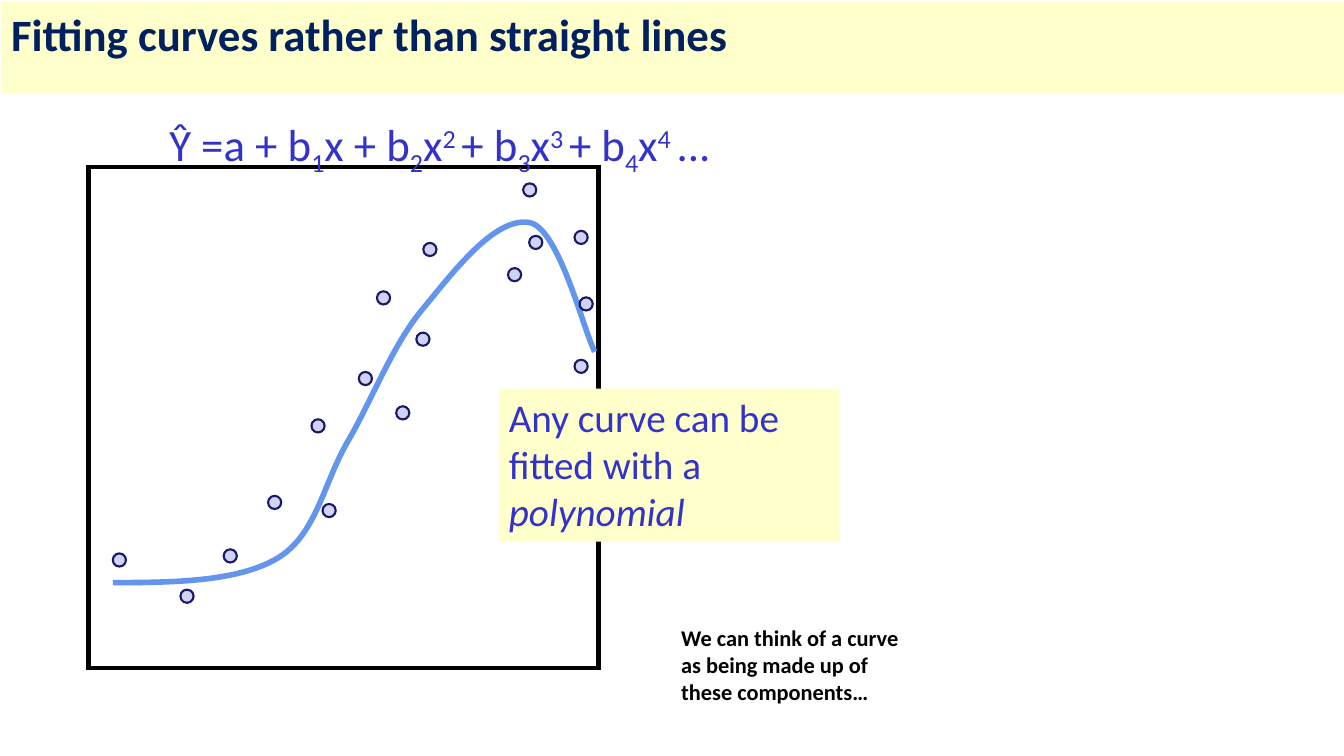
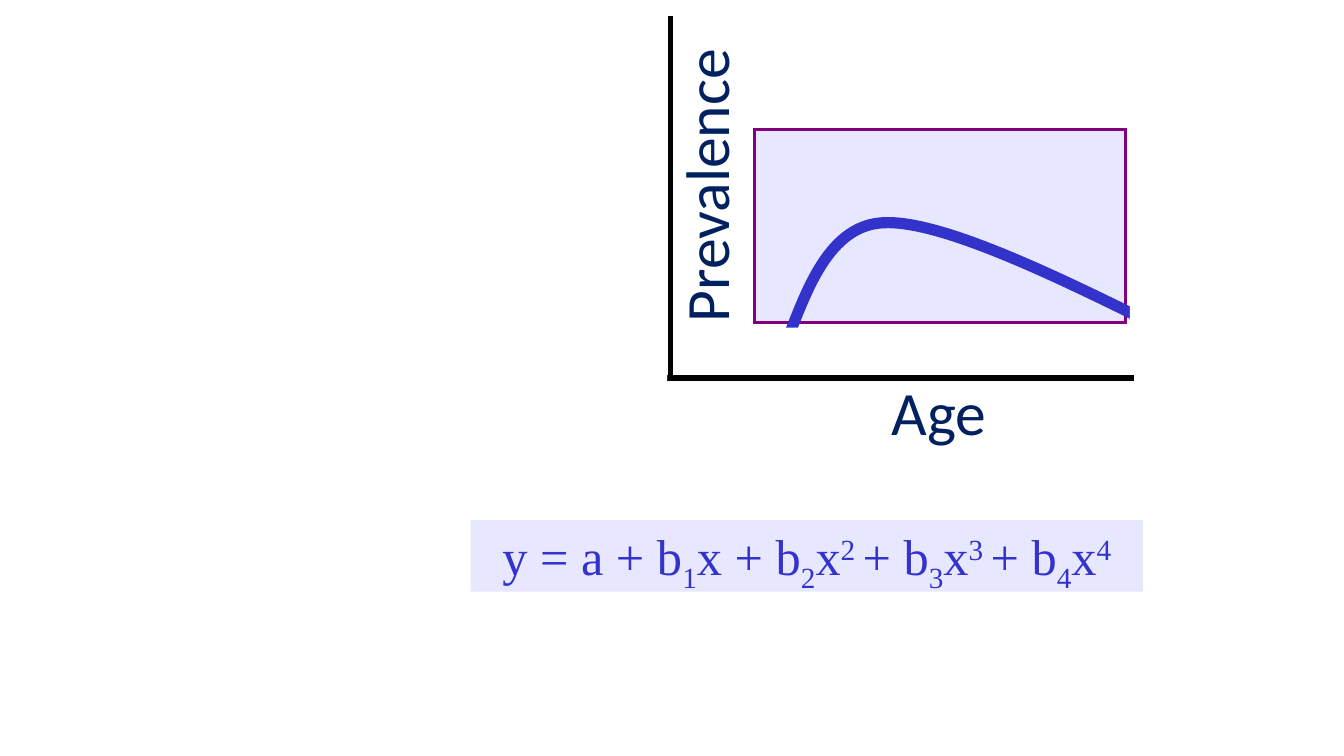
from lxml import etree
from pptx import Presentation
from pptx.dml.color import RGBColor
from pptx.enum import shapes, text
from pptx.oxml.ns import qn
from pptx.util import Pt

BLACK = RGBColor(0x00, 0x00, 0x00)
WHITE = RGBColor(0xFF, 0xFF, 0xFF)
NAVY = RGBColor(0x00, 0x20, 0x60)
BLUE = RGBColor(0x33, 0x33, 0xCC)
CREAM = RGBColor(0xFF, 0xFF, 0xCC)
LAVENDER = RGBColor(0xE7, 0xE7, 0xFF)
PURPLE = RGBColor(0x80, 0x00, 0x80)
CORNFLOWER = RGBColor(0x64, 0x95, 0xED)
DOT_FILL = RGBColor(0xD2, 0xD2, 0xF4)
DOT_LINE = RGBColor(0x19, 0x19, 0x66)

TITLE = {"name": "Calibri", "size": Pt(32), "bold": True, "color": NAVY}
FORMULA = {"name": "Calibri", "size": Pt(32), "color": BLUE}
SERIF_FORMULA = {"name": "Times New Roman", "size": Pt(36), "color": BLUE}
CALLOUT = {"name": "Calibri", "size": Pt(28), "color": BLUE}
NOTE = {"name": "Calibri", "size": Pt(16), "bold": True, "color": BLACK}
AXIS_LABEL = {"name": "Calibri", "size": Pt(44), "color": NAVY}

SUBSCRIPT = {"baseline": -25000}
SUPERSCRIPT = {"baseline": 30000}
RECTANGLE, OVAL = shapes.MSO_SHAPE.RECTANGLE, shapes.MSO_SHAPE.OVAL
LEFT, CENTER = text.PP_ALIGN.LEFT, text.PP_ALIGN.CENTER
TOP, MIDDLE = text.MSO_ANCHOR.TOP, text.MSO_ANCHOR.MIDDLE

DOT_SIZE = 9.4
DOTS = [
    (80.6, 395.3), (128.9, 421.2), (159.8, 392.4), (191.5, 354.2),
    (222.5, 299.5), (230.4, 360), (256.3, 265.7), (269.3, 208.1),
    (283, 290.2), (297.4, 237.6), (302.4, 173.5), (362.9, 191.5),
    (373.7, 131), (378, 168.5), (410.4, 164.9), (410.4, 257), (414, 212.4),
]
# Bezier curves: a start, then two control points and an end per segment.
FITTED_CURVE = [
    (80.6, 416.2), (125.3, 416.2), (169.9, 415.4), (198, 398.9),
    (226.1, 382.3), (231.1, 344.9), (248.4, 315.4),
    (265.7, 285.8), (280.1, 247), (301.7, 221),
    (323.3, 195.1), (353.5, 154.1), (378.7, 159.1),
    (399.6, 164.2), (416.9, 236.2), (424.8, 251.3),
]
PREVALENCE_CURVE = [
    (232.6, 579.6), (249.8, 532.1), (306.7, 362.2), (337, 294.5),
    (367.2, 227.5), (391, 183.6), (415.4, 175.7),
    (439.9, 168.5), (462.2, 231.1), (483.1, 248.4),
    (504, 265.7), (516.2, 293.8), (541.4, 279.4),
    (565.9, 264.2), (573.1, 161.3), (631.4, 159.1),
    (689.8, 156.2), (837.4, 241.9), (891.4, 263.5),
]
# White covers that crop the curve, then the axes.
CURVE_COVERS = [
    (807.1, 52.6, 276.5, 316.1), (440.6, -108, 475.2, 196.6),
    (62.6, -13.7, 471.6, 316.1), (77, 234, 806.4, 316.1),
]
AXIS_COVERS = [(102.2, 242.6, 374.4, 82.1), (422.6, 272.2, 82.1, 253.4)]


def to_points(values):
    """Turn numbers into point lengths."""
    return [Pt(value) for value in values]


def paint(shape, fill=None, line=None, width=1):
    """Set fill and outline, with no shadow."""
    shape.shadow.inherit = False
    if fill is None:
        shape.fill.background()
    else:
        shape.fill.solid()
        shape.fill.fore_color.rgb = fill
    if line is None:
        shape.line.fill.background()
    else:
        shape.line.color.rgb = line
        shape.line.width = Pt(width)
        outline = shape._element.spPr.find(qn("a:ln"))
        etree.SubElement(outline, qn("a:miter"), lim="800000")


def add_preset(slide, kind, box, **look):
    """Add a painted preset shape."""
    shape = slide.shapes.add_shape(kind, *to_points(box))
    paint(shape, **look)
    return shape


def add_covers(slide, boxes):
    """Add plain white rectangles."""
    for box in boxes:
        add_preset(slide, RECTANGLE, box, fill=WHITE)


def write(shape, runs, style, align=LEFT, anchor=TOP, wrap=True):
    """Fill a shape with one paragraph of (text, changes) runs."""
    frame = shape.text_frame
    for name, value in {"word_wrap": wrap, "vertical_anchor": anchor,
                        "auto_size": text.MSO_AUTO_SIZE.NONE}.items():
        setattr(frame, name, value)
    paragraph = frame.paragraphs[0]
    paragraph.alignment = align
    for words, changes in runs:
        run = paragraph.add_run()
        run.text = words
        for name, value in {**style, **changes}.items():
            if name == "color":
                run.font.color.rgb = value
            elif name == "baseline":
                run._r.get_or_add_rPr().set("baseline", str(value))
            else:
                setattr(run.font, name, value)


def add_text(slide, box, runs, style, **layout):
    """Add a text box."""
    shape = slide.shapes.add_textbox(*to_points(box))
    write(shape, runs, style, **layout)
    return shape


def add_title(slide, words):
    """Place the title placeholder as a band across the top."""
    title = slide.shapes.title
    title.left, title.top, title.width, title.height = to_points(
        (0.7, 1.4, 959.3, 65.5))
    title.fill.solid()
    title.fill.fore_color.rgb = CREAM
    write(title, [(words, {})], TITLE)


def polynomial(start, end=""):
    """Return the runs of a fourth-degree polynomial."""
    runs = [(f"{start}a + b", {}), ("1", SUBSCRIPT), ("x + b", {})]
    for power in (2, 3, 4):
        gap = " " if power < 4 or end else ""
        runs += [(str(power), SUBSCRIPT), ("x", {}),
                 (f"{power}{gap}", SUPERSCRIPT)]
        following = "+ b" if power < 4 else end
        if following:
            runs.append((following, {}))
    return runs


def add_curve(slide, nodes, color, width):
    """Draw an open chain of cubic Bezier segments."""
    vertices = [to_points(node) for node in nodes]
    builder = slide.shapes.build_freeform(*vertices[0], scale=1.0)
    builder.add_line_segments(vertices[1:], close=False)
    shape = builder.convert_to_shape()
    paint(shape, line=color, width=width)
    lines = list(shape._element.iter(qn("a:lnTo")))
    for first in range(0, len(lines), 3):
        segment = etree.Element(qn("a:cubicBezTo"))
        lines[first].addprevious(segment)
        for line in lines[first:first + 3]:
            segment.append(line[0])
            line.getparent().remove(line)


def add_axis(slide, ends):
    """Draw a thick black axis line."""
    connector = slide.shapes.add_connector(
        shapes.MSO_CONNECTOR.STRAIGHT, *to_points(ends))
    connector.line.color.rgb = BLACK
    connector.line.width = Pt(4)
    etree.SubElement(connector._element.spPr, qn("a:effectLst"))


def build_fitting_slide(presentation):
    """Scatter of points with a fitted curve."""
    slide = presentation.slides.add_slide(presentation.slide_layouts[5])
    add_preset(slide, RECTANGLE, (63, 119.4, 364.5, 357.8),
               line=BLACK, width=3.25)
    add_title(slide, "Fitting curves rather than straight lines")
    add_curve(slide, FITTED_CURVE, CORNFLOWER, 4)
    add_text(slide, (113.8, 79.9, 426.2, 46.1),
             polynomial("\u0176 =", "..."), FORMULA, wrap=False)
    for left, top in DOTS:
        add_preset(slide, OVAL, (left, top, DOT_SIZE, DOT_SIZE),
                   fill=DOT_FILL, line=DOT_LINE, width=1.5)
    callout = add_preset(slide, RECTANGLE, (356.4, 277.6, 243.4, 109.4),
                         fill=CREAM)
    write(callout, [("Any curve can be fitted with a ", {}),
                    ("polynomial ", {"italic": True})], CALLOUT)
    add_text(slide, (479.5, 442.1, 171.4, 65.5),
             [("We can think of a curve as being made up of "
               "these components\u2026", {})], NOTE)


def build_prevalence_slide(presentation):
    """Prevalence by age with its polynomial."""
    slide = presentation.slides.add_slide(presentation.slide_layouts[6])
    label_layout = {"align": CENTER, "anchor": MIDDLE, "wrap": False}
    add_preset(slide, RECTANGLE, (538.8, 92.2, 265, 138.2),
               fill=LAVENDER, line=PURPLE, width=2.25)
    add_curve(slide, PREVALENCE_CURVE, BLUE, 8)
    add_covers(slide, CURVE_COVERS)
    age = add_preset(slide, RECTANGLE, (629.3, 263.5, 82.8, 60.5),
                     fill=WHITE)
    write(age, [("Age", {})], AXIS_LABEL, **label_layout)
    add_axis(slide, (478.8, 11.5, 478.8, 517))
    add_axis(slide, (810, 270, 149.8, 270))
    add_covers(slide, AXIS_COVERS)
    prevalence = add_text(slide, (397.4, 102.2, 211.7, 60.5),
                          [("Prevalence", {})], AXIS_LABEL, **label_layout)
    prevalence.rotation = 270
    formula = add_preset(slide, RECTANGLE, (336.2, 371.5, 480.2, 51.1),
                         fill=LAVENDER)
    write(formula, polynomial("y = "), SERIF_FORMULA,
          align=CENTER, wrap=False)


def main():
    """Build and save the presentation."""
    presentation = Presentation()
    presentation.slide_width, presentation.slide_height = Pt(960), Pt(540)
    build_fitting_slide(presentation)
    build_prevalence_slide(presentation)
    presentation.save("out.pptx")


main()
